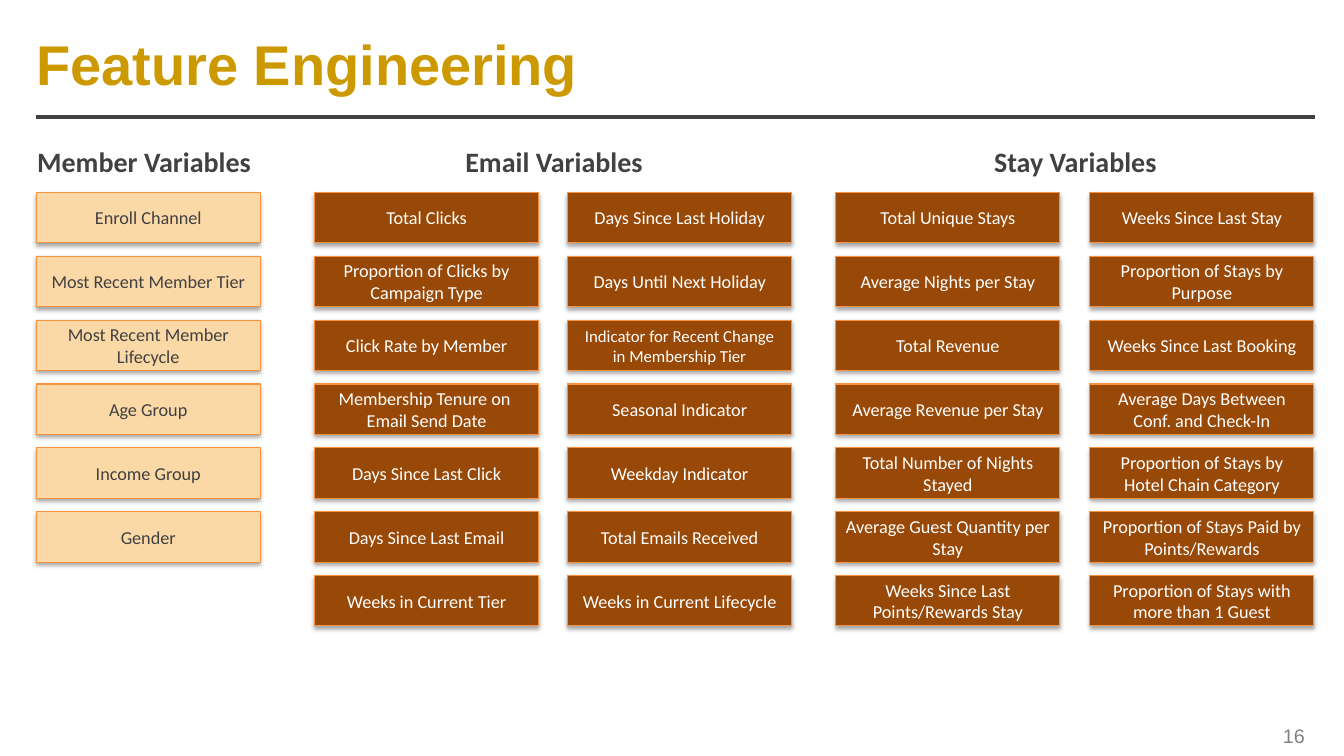
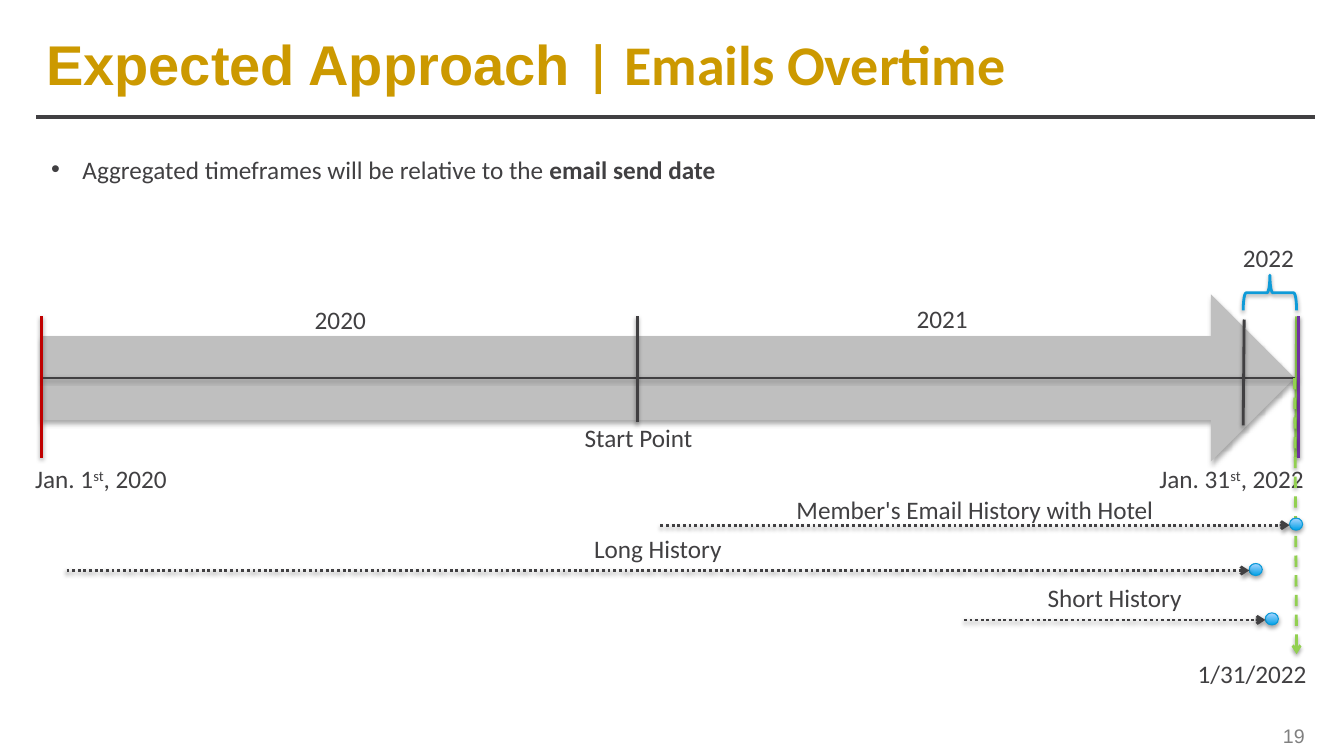
from dataclasses import dataclass

from lxml import etree
from pptx import Presentation
from pptx import util as u
from pptx.dml.color import RGBColor
from pptx.enum import dml, shapes, text
from pptx.oxml.ns import qn

DARK, GOLD, GREY, WHITE = "414042", "CC9900", "808080", "FFFFFF"
ORANGE, BROWN, CREAM = "F69240", "984807", "FBD9A6"
SILVER, RED, GREEN, PURPLE = "BFBFBF", "C00000", "92D050", "7030A0"
BRACE_BLUE, DOT_EDGE, DOT_LOW, DOT_HIGH = "0F9BD8", "0A9AD8", "00A1E7", "AAD5FF"
LEFT, CENTER, RIGHT = text.PP_ALIGN.LEFT, text.PP_ALIGN.CENTER, text.PP_ALIGN.RIGHT


@dataclass(frozen=True)
class Run:
    words: str
    font: str = "Calibri"
    size: float = 18
    color: str = DARK
    bold: bool = False
    raised: bool = False


@dataclass(frozen=True)
class Label:
    left: float
    top: float
    width: float
    runs: tuple[Run, ...]
    align: text.PP_ALIGN = LEFT
    height: float = 0.4


@dataclass(frozen=True)
class Stroke:
    start: tuple[float, float]
    end: tuple[float, float]
    color: str = DARK
    width: float = 2
    dash: dml.MSO_LINE | None = None
    arrow: bool = False
    shadow: bool = True


@dataclass(frozen=True)
class VariableGroup:
    heading: Label
    fill: str
    text_color: str
    columns: dict[float, tuple[str, ...]]


@dataclass(frozen=True)
class History:
    """A dotted span that ends in a dot."""
    name: str
    start: float
    end: float
    line_top: float
    label_top: float


def rgb(color: str) -> RGBColor:
    return RGBColor.from_string(color)


def set_shadow(properties, opacity: int, distance: float) -> None:
    """Replace any inherited effect with a soft shadow straight below."""
    effects = properties.find(qn("a:effectLst"))
    if effects is None:
        effects = etree.SubElement(properties, qn("a:effectLst"))
    outer = etree.SubElement(
        effects, qn("a:outerShdw"), blurRad=str(u.Pt(3.1)),
        dist=str(u.Pt(distance)), dir="5400000", rotWithShape="0")
    black = etree.SubElement(outer, qn("a:srgbClr"), val="000000")
    etree.SubElement(black, qn("a:alpha"), val=str(opacity * 1000))


def write(paragraph, runs: tuple[Run, ...], align: text.PP_ALIGN) -> None:
    paragraph.alignment = align
    for part in runs:
        for number, line in enumerate(part.words.split("\n")):
            if number:
                paragraph.add_line_break()
            run = paragraph.add_run()
            run.text = line
            run.font.name = part.font
            run.font.size = u.Pt(part.size)
            run.font.bold = part.bold
            run.font.color.rgb = rgb(part.color)
            if part.raised:
                run._r.get_or_add_rPr().set("baseline", "30000")


def set_margins(frame, side: float, end: float) -> None:
    frame.margin_left = frame.margin_right = u.Inches(side)
    frame.margin_top = frame.margin_bottom = u.Inches(end)


def add_label(slide, label: Label, middle: bool = False):
    box = slide.shapes.add_textbox(
        u.Inches(label.left), u.Inches(label.top),
        u.Inches(label.width), u.Inches(label.height))
    frame = box.text_frame
    frame.word_wrap = True
    if middle:
        frame.vertical_anchor = text.MSO_ANCHOR.MIDDLE
    write(frame.paragraphs[0], label.runs, label.align)
    return frame


def add_bullet(paragraph, indent: float) -> None:
    properties = paragraph._p.get_or_add_pPr()
    properties.set("marL", str(u.Inches(indent)))
    properties.set("indent", str(-u.Inches(indent)))
    etree.SubElement(properties, qn("a:buFont"), typeface="Arial")
    etree.SubElement(properties, qn("a:buChar"), char="•")


def add_stroke(slide, stroke: Stroke) -> None:
    ends = [u.Inches(value) for value in (*stroke.start, *stroke.end)]
    connector = slide.shapes.add_connector(shapes.MSO_CONNECTOR.STRAIGHT, *ends)
    connector.line.color.rgb = rgb(stroke.color)
    connector.line.width = u.Pt(stroke.width)
    if stroke.dash is not None:
        connector.line.dash_style = stroke.dash
    properties = connector._element.spPr
    if stroke.arrow:
        etree.SubElement(properties.find(qn("a:ln")), qn("a:tailEnd"), type="arrow")
    if stroke.shadow:
        set_shadow(properties, 38, 1.6)
    else:
        etree.SubElement(properties, qn("a:effectLst"))


def add_figure(slide, kind: shapes.MSO_SHAPE, left: float, top: float,
               width: float, height: float, fill: str | None = None,
               edge: str | None = None, edge_width: float = 0.75):
    figure = slide.shapes.add_shape(
        kind, u.Inches(left), u.Inches(top), u.Inches(width), u.Inches(height))
    figure.shadow.inherit = False
    set_shadow(figure._element.spPr, 35, 1.8)
    if fill:
        figure.fill.solid()
        figure.fill.fore_color.rgb = rgb(fill)
    else:
        figure.fill.background()
    if edge:
        figure.line.color.rgb = rgb(edge)
        figure.line.width = u.Pt(edge_width)
    else:
        figure.line.fill.background()
    return figure


def start_slide(deck, title: tuple[Run, ...], title_margin: float, number: int):
    """Add a slide with the shared rule, title and page number."""
    slide = deck.slides.add_slide(deck.slide_layouts[6])
    add_stroke(slide, Stroke((0.36, 1.16), (13.04, 1.16), width=3, shadow=False))
    frame = add_label(slide, Label(0.36, 0.22, 11.32, title, height=0.82), middle=True)
    set_margins(frame, title_margin, 0)
    page = Run(str(number), "Arial", 14, GREY)
    add_label(slide, Label(9.56, 7.1, 3.48, (page,), RIGHT), middle=True)
    return slide


def title_run(words: str, font: str = "Arial") -> Run:
    return Run(words, font, 40, GOLD, True)


def heading(words: str, left: float, width: float, align=CENTER) -> Label:
    return Label(left, 1.38, width, (Run(words, size=20, bold=True),), align, 0.44)


VARIABLE_GROUPS = (
    VariableGroup(heading("Member Variables", 0.27, 2.37, LEFT), CREAM, DARK, {
        0.36: ("Enroll Channel", "Most Recent Member Tier",
               "Most Recent Member Lifecycle", "Age Group", "Income Group", "Gender"),
    }),
    VariableGroup(heading("Email Variables", 3.12, 4.75), BROWN, WHITE, {
        3.12: ("Total Clicks", "Proportion of Clicks by Campaign Type",
               "Click Rate by Member", "Membership Tenure on \nEmail Send Date",
               "Days Since Last Click", "Days Since Last Email",
               "Weeks in Current Tier"),
        5.63: ("Days Since Last Holiday", "Days Until Next Holiday",
               "Indicator for Recent Change in Membership Tier",
               "Seasonal Indicator", "Weekday Indicator", "Total Emails Received",
               "Weeks in Current Lifecycle"),
    }),
    VariableGroup(heading("Stay Variables", 8.29, 4.75), BROWN, WHITE, {
        8.29: ("Total Unique Stays", "Average Nights per Stay", "Total Revenue",
               "Average Revenue per Stay", "Total Number of Nights Stayed",
               "Average Guest Quantity per Stay",
               "Weeks Since Last Points/Rewards Stay"),
        10.81: ("Weeks Since Last Stay", "Proportion of Stays by Purpose",
                "Weeks Since Last Booking", "Average Days Between Conf. and Check-In",
                "Proportion of Stays by Hotel Chain Category",
                "Proportion of Stays Paid by Points/Rewards",
                "Proportion of Stays with more than 1 Guest"),
    }),
)
FIRST_ROW, LAST_ROW, ROWS = 1.91, 5.71, 7
ROW_PITCH = (LAST_ROW - FIRST_ROW) / (ROWS - 1)
LONG_VARIABLE = 45

TIMELINE_STROKES = (
    Stroke((0.41, 3.14), (0.41, 4.54), RED),
    Stroke((0.43, 3.75), (12.86, 3.75)),
    Stroke((12.86, 3.14), (12.85, 4.54), GREEN),
    Stroke((12.34, 3.17), (12.33, 4.22)),
    Stroke((6.32, 3.14), (6.32, 4.19)),
    Stroke((12.88, 3.14), (12.88, 4.54), PURPLE),
    Stroke((12.84, 3.75), (12.86, 6.49), GREEN, dash=dml.MSO_LINE.DASH, arrow=True),
)
TIMELINE_LABELS = (
    Label(12.23, 2.35, 0.77, (Run("2022"),)),
    Label(0.25, 4.55, 1.6, (Run("Jan. 1"), Run("st", raised=True), Run(", 2020"))),
    Label(11.4, 4.55, 1.68, (Run("Jan. 31"), Run("st", raised=True), Run(", 2022"))),
    Label(0.43, 2.97, 5.89, (Run("2020"),), CENTER, 0.36),
    Label(6.37, 2.96, 5.95, (Run("2021"),), CENTER, 0.36),
    Label(5.7, 4.14, 1.33, (Run("Start Point"),)),
    Label(11.78, 6.48, 1.33, (Run("1/31/2022"),)),
)
HISTORIES = (
    History("Member's Email History with Hotel", 6.55, 12.79, 5.21, 4.85),
    History("Long History", 0.66, 12.39, 5.66, 5.24),
    History("Short History", 9.56, 12.55, 6.15, 5.73),
)


def add_variable(slide, words: str, left: float, top: float, group: VariableGroup) -> None:
    tile = add_figure(slide, shapes.MSO_SHAPE.RECTANGLE, left, top, 2.22, 0.5,
                      group.fill, ORANGE)
    frame = tile.text_frame
    frame.word_wrap = True
    frame.vertical_anchor = text.MSO_ANCHOR.MIDDLE
    set_margins(frame, 0.09, 0.05)
    size = 12 if len(words) > LONG_VARIABLE else 13
    write(frame.paragraphs[0], (Run(words, size=size, color=group.text_color),), CENTER)


def add_history(slide, history: History) -> None:
    dot = add_figure(slide, shapes.MSO_SHAPE.OVAL, history.end,
                     history.line_top - 0.07, 0.13, 0.12, edge=DOT_EDGE)
    dot.fill.gradient()
    dot.fill.gradient_angle = 90
    for stop, color in zip(dot.fill.gradient_stops, (DOT_LOW, DOT_HIGH)):
        stop.color.rgb = rgb(color)
    add_stroke(slide, Stroke((history.start, history.line_top),
                             (history.end, history.line_top),
                             dash=dml.MSO_LINE.ROUND_DOT, arrow=True))
    add_label(slide, Label(history.start, history.label_top,
                           history.end - history.start, (Run(history.name),), CENTER))


def add_feature_slide(deck) -> None:
    slide = start_slide(deck, (title_run("Feature Engineering"),), 0, 16)
    for group in VARIABLE_GROUPS:
        add_label(slide, group.heading)
        for left, variables in group.columns.items():
            for row, words in enumerate(variables):
                add_variable(slide, words, left, FIRST_ROW + row * ROW_PITCH, group)


def add_timeline_slide(deck) -> None:
    title = title_run("Expected Approach "), title_run("| Emails Overtime", "Calibri")
    slide = start_slide(deck, title, 0.1, 19)
    add_figure(slide, shapes.MSO_SHAPE.RIGHT_ARROW, 0.41, 2.92, 12.43, 1.66, SILVER)
    brace = add_figure(slide, shapes.MSO_SHAPE.LEFT_BRACE, 12.42, 2.64, 0.35, 0.53,
                       edge=BRACE_BLUE, edge_width=2)
    brace.rotation = 90
    for label in TIMELINE_LABELS:
        add_label(slide, label)
    for stroke in TIMELINE_STROKES:
        add_stroke(slide, stroke)
    for history in HISTORIES:
        add_history(slide, history)
    note = (Run("Aggregated timeframes will be relative to the "),
            Run("email send date", bold=True))
    add_bullet(add_label(slide, Label(0.41, 1.48, 7.12, note)).paragraphs[0], 0.31)


def main() -> None:
    deck = Presentation()
    deck.slide_width, deck.slide_height = u.Inches(13.33), u.Inches(7.5)
    add_feature_slide(deck)
    add_timeline_slide(deck)
    deck.save("out.pptx")


if __name__ == "__main__":
    main()
